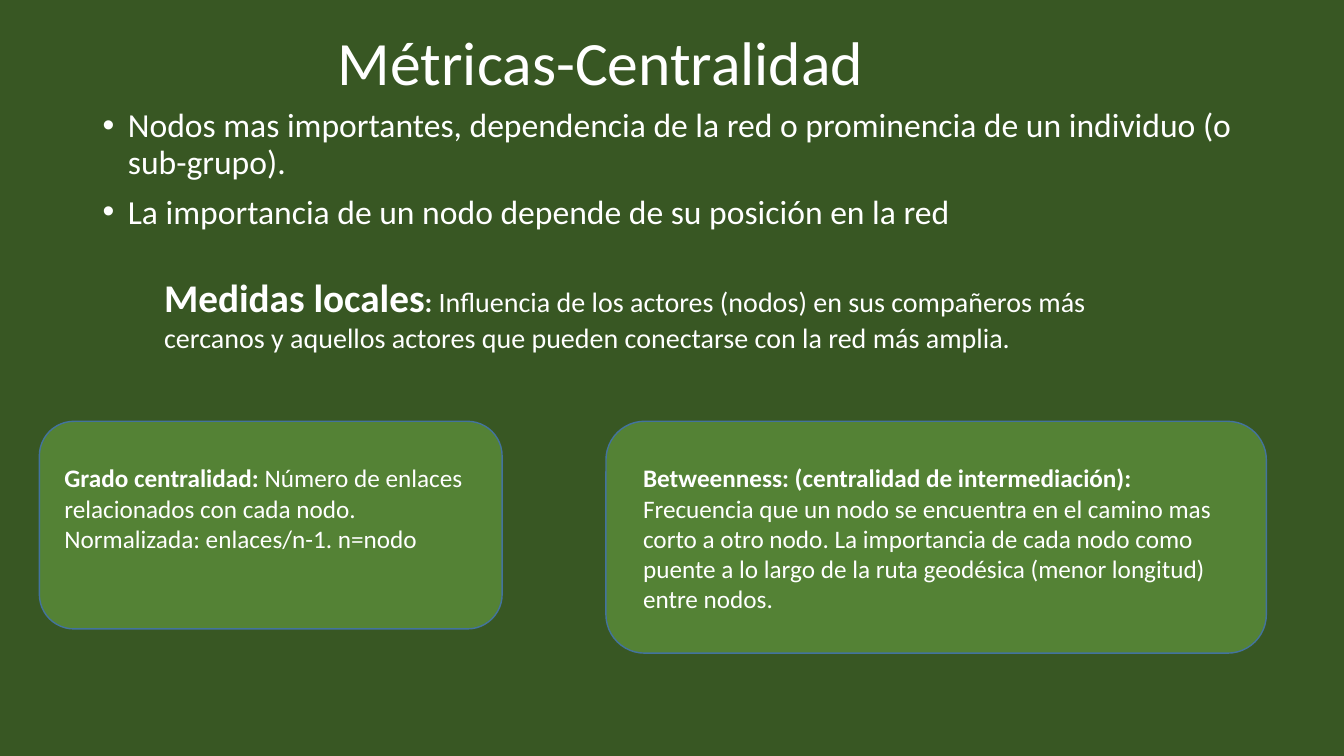
from lxml.etree import SubElement
from pptx import Presentation
from pptx.dml.color import RGBColor
from pptx.enum.shapes import MSO_SHAPE
from pptx.enum.text import MSO_ANCHOR, PP_ALIGN
from pptx.oxml.ns import qn
from pptx.util import Inches, Pt

FONT = "Calibri"
COLORS = {"background": "385723", "card": "548235", "border": "43739E", "text": "FFFFFF"}

# A paragraph is a list of runs: (text, size, bold)
TITLE = [[("Métricas-Centralidad", 44, False)]]
POINTS = [
    [("Nodos mas importantes, dependencia de la red o prominencia de un individuo (o sub-grupo).", 24, False)],
    [("La importancia de un nodo depende de su posición en la red", 24, False)],
]
LOCAL_MEASURES = [[
    ("Medidas locales", 28, True),
    (": ", 20, True),
    ("Influencia de los actores (nodos) en sus compañeros más cercanos y aquellos "
     "actores que pueden conectarse con la red más amplia.", 20, False),
]]
DEGREE = [
    [("Grado centralidad: ", 18, True),
     ("Número de enlaces relacionados con cada nodo.", 18, False)],
    [("Normalizada: enlaces/n-1. n=nodo", 18, False)],
]
BETWEENNESS = [[
    ("Betweenness: (centralidad de intermediación): ", 18, True),
    ("Frecuencia que un nodo se encuentra en el camino mas corto a otro nodo. "
     "La importancia de cada nodo como puente a lo largo de la ruta geodésica "
     "(menor longitud) entre nodos.", 18, False),
]]

CARD_TOP, CARD_TEXT_TOP = 4.18, 4.54
# Card left, width, height; text left, width, height; paragraphs
CARDS = [
    ((0.39, 4.59, 2.06), (0.54, 4.98, 1.01), DEGREE),
    ((6.01, 6.55, 2.3), (6.28, 6.14, 1.62), BETWEENNESS),
]


def rgb(name):
    return RGBColor.from_string(COLORS[name])


def add_bullet(p, indent=0.25):
    pPr = p._p.get_or_add_pPr()
    pPr.set("marL", str(Inches(indent)))
    pPr.set("indent", str(-Inches(indent)))
    SubElement(pPr, qn("a:buFont")).set("typeface", "Arial")
    SubElement(pPr, qn("a:buChar")).set("char", "•")


def add_text(s, paragraphs, left, top, width, height, align=PP_ALIGN.LEFT,
             anchor=MSO_ANCHOR.TOP, spacing=None, before=None, bullet=False):
    tf = s.shapes.add_textbox(*map(Inches, (left, top, width, height))).text_frame
    tf.word_wrap = True
    tf.vertical_anchor = anchor
    for i, runs in enumerate(paragraphs):
        p = tf.add_paragraph() if i else tf.paragraphs[0]
        p.alignment = align
        p.line_spacing = spacing
        if before:
            p.space_before = Pt(before)
        if bullet:
            add_bullet(p)
        for text, size, bold in runs:
            r = p.add_run()
            r.text = text
            r.font.name, r.font.size, r.font.bold = FONT, Pt(size), bold
            r.font.color.rgb = rgb("text")


def add_card(s, left, width, height):
    sp = s.shapes.add_shape(MSO_SHAPE.ROUNDED_RECTANGLE,
                            *map(Inches, (left, CARD_TOP, width, height)))
    sp.shadow.inherit = False
    sp.fill.solid()
    sp.fill.fore_color.rgb = rgb("card")
    sp.line.color.rgb = rgb("border")
    sp.line.width = Pt(1)


def main():
    prs = Presentation()
    prs.slide_width, prs.slide_height = Inches(13.33), Inches(7.5)
    s = prs.slides.add_slide(prs.slide_layouts[6])
    s.background.fill.solid()
    s.background.fill.fore_color.rgb = rgb("background")

    add_text(s, TITLE, 0.67, 0.13, 10.58, 1.05, align=PP_ALIGN.CENTER,
             anchor=MSO_ANCHOR.MIDDLE, spacing=0.9)
    add_text(s, POINTS, 0.92, 1.03, 11.5, 1.56, spacing=0.9, before=10, bullet=True)
    add_text(s, LOCAL_MEASURES, 1.53, 2.66, 10.27, 1.21)
    for card, (left, width, height), paragraphs in CARDS:
        add_card(s, *card)
        add_text(s, paragraphs, left, CARD_TEXT_TOP, width, height)

    prs.save("out.pptx")


if __name__ == "__main__":
    main()
